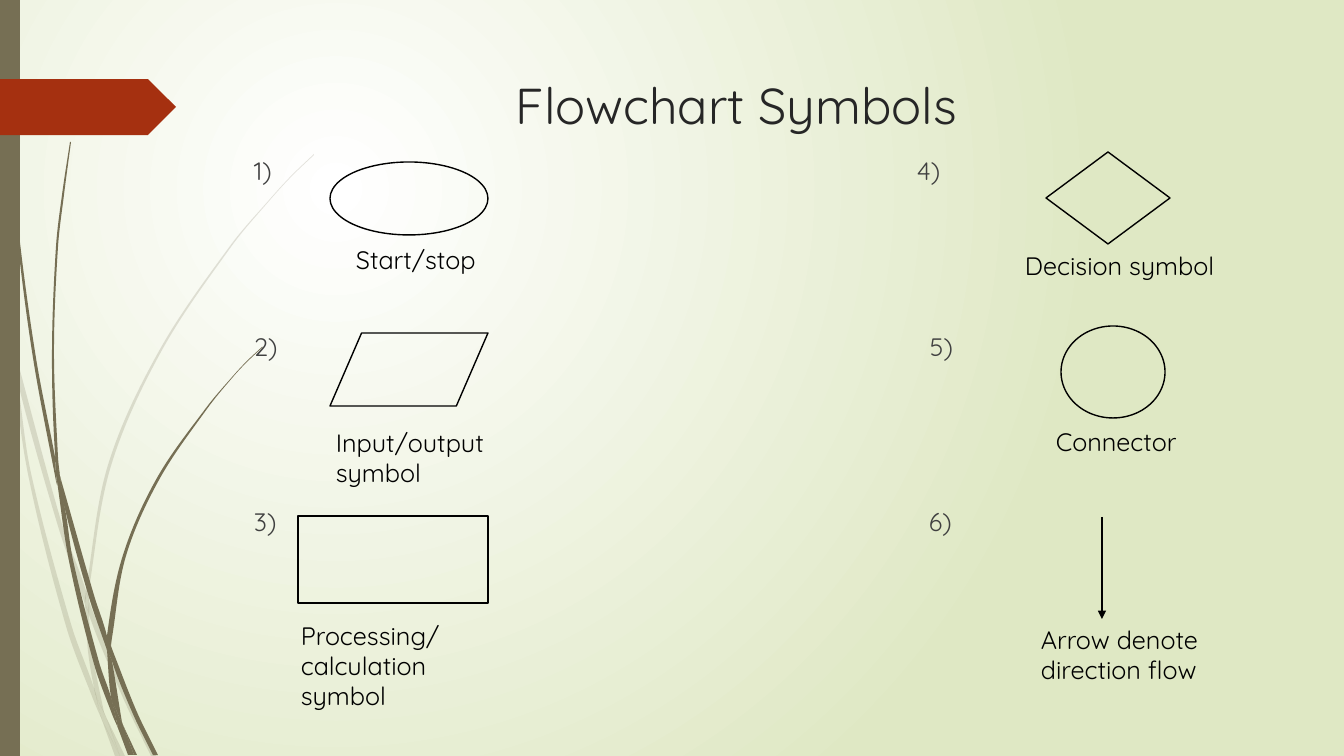
"""Build the flowchart symbols slide."""
from dataclasses import dataclass
from typing import Optional

from lxml.etree import SubElement
from pptx import Presentation
from pptx.dml.color import RGBColor
from pptx.enum.shapes import MSO_CONNECTOR, MSO_SHAPE
from pptx.enum.text import MSO_AUTO_SIZE
from pptx.oxml.ns import qn
from pptx.shapes.autoshape import Shape
from pptx.slide import Slide
from pptx.text.text import TextFrame
from pptx.util import Emu, Pt

EMU_PER_PX = 914400 / 100.8
PAGE_WIDTH, PAGE_HEIGHT = 1344, 756
TITLE_INDENT = 220
ROW_GAP_POINTS = 104

Points = tuple[tuple[int, int], ...]


@dataclass(frozen=True)
class Theme:
    font: str = "Quicksand"
    title_size: int = 36
    body_size: int = 18
    title: str = "262626"
    number: str = "404040"
    ink: str = "000000"
    stem: str = "766F54"
    ribbon: str = "A53010"
    glow: str = "FFFFFF"
    backdrop: str = "DFE8C4"
    pale_percent: int = 20
    line_width: int = 1


@dataclass(frozen=True)
class Box:
    left: int
    top: int
    width: int
    height: int


@dataclass(frozen=True)
class Symbol:
    outline: Optional[MSO_SHAPE]
    frame: Box
    caption: str
    caption_box: Box


@dataclass(frozen=True)
class NumberRow:
    text: str
    tab: int


THEME = Theme()

PALE_BLADES: tuple[Points, ...] = (
    ((11, 353), (9, 325), (0, 284), (0, 301), (10, 347)),
    ((58, 526), (85, 604), (86, 591), (62, 524), (14, 348), (17, 379)),
    ((93, 612), (89, 601), (89, 615), (124, 700), (151, 756), (156, 756), (128, 698)),
    ((120, 756), (125, 756), (106, 717)),
    ((94, 688), (71, 624), (31, 473), (17, 379), (11, 353), (28, 474), (66, 626),
     (93, 699), (102, 720), (100, 713)),
    ((85, 604), (88, 651), (94, 688), (97, 698), (106, 717), (104, 712), (92, 651),
     (89, 615), (89, 613)),
    ((89, 589), (111, 466), (161, 352), (231, 247), (270, 200), (292, 176), (314, 155),
     (314, 154), (291, 176), (270, 199), (230, 246), (159, 351), (108, 465), (86, 589),
     (86, 591), (89, 601)),
    ((102, 720), (115, 756), (120, 756)),
    ((89, 613), (89, 615), (89, 601), (86, 591), (85, 604)),
    ((97, 698), (94, 688), (100, 713), (102, 720), (120, 756), (106, 717)),
)

DARK_BLADES: tuple[Points, ...] = (
    ((7, 111), (17, 235), (33, 358), (56, 481), (57, 485), (55, 461), (55, 457),
     (36, 358), (19, 234), (8, 110), (5, 48), (4, 0), (3, 0), (4, 48)),
    ((89, 597), (107, 650), (107, 636), (94, 595), (60, 476), (65, 509)),
    ((114, 654), (111, 646), (112, 661), (133, 714), (153, 755), (158, 755), (137, 712)),
    ((111, 697), (99, 662), (73, 560), (65, 509), (57, 481), (69, 561), (94, 664),
     (112, 714), (118, 728), (117, 723)),
    ((60, 476), (58, 457), (54, 352), (58, 247), (64, 195), (71, 142), (70, 142),
     (62, 195), (56, 247), (52, 352), (55, 453)),
    ((134, 755), (137, 755), (123, 725)),
    ((57, 481), (65, 509), (60, 476), (55, 453), (55, 457)),
    ((112, 638), (126, 556), (159, 480), (207, 409), (233, 377), (247, 362), (263, 347),
     (262, 347), (247, 361), (233, 376), (206, 408), (157, 478), (123, 555), (107, 636),
     (111, 646)),
    ((118, 728), (128, 755), (132, 755)),
    ((107, 650), (111, 697), (117, 712), (123, 725), (122, 722), (112, 661), (110, 656)),
    ((107, 650), (110, 656), (112, 661), (111, 646), (107, 636)),
    ((117, 712), (111, 697), (117, 723), (118, 728), (131, 755), (134, 755), (123, 725)),
)

NUMBER_ROWS = (NumberRow("1)\t4)", 663), NumberRow("2)\t5)", 676), NumberRow("3)\t6)", 675))

SYMBOLS = (
    Symbol(MSO_SHAPE.OVAL, Box(330, 162, 158, 73),
           "Start/stop", Box(346, 239, 214, 40)),
    Symbol(MSO_SHAPE.FLOWCHART_DATA, Box(330, 333, 158, 73),
           "Input/output symbol", Box(326, 422, 214, 71)),
    Symbol(MSO_SHAPE.RECTANGLE, Box(298, 516, 190, 87),
           "Processing/calculation symbol", Box(291, 615, 214, 71)),
    Symbol(MSO_SHAPE.FLOWCHART_DECISION, Box(1046, 152, 124, 92),
           "Decision symbol", Box(1015, 245, 244, 40)),
    Symbol(MSO_SHAPE.FLOWCHART_CONNECTOR, Box(1061, 326, 104, 92),
           "Connector", Box(1046, 421, 214, 40)),
    Symbol(None, Box(1102, 517, 0, 102),
           "Arrow denote direction flow", Box(1031, 619, 214, 71)),
)


def px(value: int) -> Emu:
    """Turn px into EMU."""
    return Emu(round(value * EMU_PER_PX))


def place(box: Box) -> tuple[Emu, Emu, Emu, Emu]:
    """Give a box as EMU arguments."""
    return px(box.left), px(box.top), px(box.width), px(box.height)


def rgb(colour: str) -> RGBColor:
    """Read a hex colour."""
    return RGBColor.from_string(colour)


def paint(shape: Shape, colour: str) -> None:
    """Give a shape a plain fill without line or shadow."""
    shape.shadow.inherit = False
    shape.fill.solid()
    shape.fill.fore_color.rgb = rgb(colour)
    shape.line.fill.background()


def paint_background(page: Slide) -> None:
    """Fill the page with a round glow in its upper left part."""
    fill = page.background.fill
    fill.gradient()
    for stop, colour in zip(fill.gradient_stops, (THEME.glow, THEME.backdrop)):
        stop.color.rgb = rgb(colour)
    gradient = page.element.find(".//" + qn("a:gradFill"))
    gradient.remove(gradient.find(qn("a:lin")))
    circle = SubElement(gradient, qn("a:path"), path="circle")
    SubElement(circle, qn("a:fillToRect"), l="50000", t="50000", r="100000", b="100000")


def tangent(before: complex, here: complex, after: complex, chord: complex) -> complex:
    """Give the direction at a knot, which is the chord at a sharp corner."""
    arriving, leaving = here - before, after - here
    bend = (arriving * leaving.conjugate()).real
    smooth = bend > 0.8 * abs(arriving) * abs(leaving)
    direction = after - before if smooth else chord
    return direction / abs(direction)


def round_edges(shape: Shape) -> None:
    """Turn the straight edges of a closed freeform into curves."""
    spots = shape.element.spPr.findall(".//" + qn("a:pt"))
    knots = [complex(int(spot.get("x")), int(spot.get("y"))) for spot in spots][:-1]
    count = len(knots)
    for i, spot in enumerate(spots[1:]):
        before, start, end, after = (knots[(i + k) % count] for k in (-1, 0, 1, 2))
        chord = end - start
        reach = abs(chord) / 3
        first = start + reach * tangent(before, start, end, chord)
        second = end - reach * tangent(start, end, after, chord)
        edge = spot.getparent()
        curve = edge.makeelement(qn("a:cubicBezTo"))
        for point in (first, second, end):
            SubElement(curve, qn("a:pt"), x=str(round(point.real)), y=str(round(point.imag)))
        edge.getparent().replace(edge, curve)


def draw_blade(page: Slide, points: Points, pale: bool) -> None:
    """Draw one piece of a blade of grass."""
    start, *rest = [(px(x), px(y)) for x, y in points]
    builder = page.shapes.build_freeform(*start)
    builder.add_line_segments([*rest, start], close=True)
    shape = builder.convert_to_shape()
    round_edges(shape)
    paint(shape, THEME.stem)
    if pale:
        colour = shape.element.spPr.find(".//" + qn("a:srgbClr"))
        SubElement(colour, qn("a:alpha"), val=str(THEME.pale_percent * 1000))


def add_text(page: Slide, box: Box, text: str, size: int, colour: str) -> TextFrame:
    """Add a wrapped text box with one paragraph a line."""
    frame = page.shapes.add_textbox(*place(box)).text_frame
    frame.word_wrap = True
    frame.text = text
    for para in frame.paragraphs:
        para.font.name = THEME.font
        para.font.size = Pt(size)
        para.font.color.rgb = rgb(colour)
    return frame


def add_numbers(page: Slide) -> None:
    """Add the numbers of both columns, the right one at tab stops."""
    text = "\n".join(row.text for row in NUMBER_ROWS)
    frame = add_text(page, Box(244, 150, 1024, 575), text, THEME.body_size, THEME.number)
    for i, (para, row) in enumerate(zip(frame.paragraphs, NUMBER_ROWS)):
        para.space_before = Pt(ROW_GAP_POINTS if i else 0)
        tabs = para._p.get_or_add_pPr().makeelement(qn("a:tabLst"))
        SubElement(tabs, qn("a:tab"), pos=str(px(row.tab)), algn="l")
        para._p.pPr.find(qn("a:defRPr")).addprevious(tabs)


def draw_symbol(page: Slide, symbol: Symbol) -> None:
    """Draw a symbol, or the arrow, with its caption."""
    left, top, width, height = place(symbol.frame)
    if symbol.outline is None:
        shape = page.shapes.add_connector(
            MSO_CONNECTOR.STRAIGHT, left, top, left + width, top + height)
        SubElement(shape.line._get_or_add_ln(), qn("a:tailEnd"), type="triangle")
        SubElement(shape.element.spPr, qn("a:effectLst"))
    else:
        shape = page.shapes.add_shape(symbol.outline, left, top, width, height)
        shape.shadow.inherit = False
        shape.fill.background()
    shape.line.color.rgb = rgb(THEME.ink)
    shape.line.width = Pt(THEME.line_width)
    caption = add_text(page, symbol.caption_box, symbol.caption, THEME.body_size, THEME.ink)
    caption.auto_size = MSO_AUTO_SIZE.SHAPE_TO_FIT_TEXT


def main() -> None:
    """Build and save the deck."""
    deck = Presentation()
    deck.slide_width, deck.slide_height = px(PAGE_WIDTH), px(PAGE_HEIGHT)
    page = deck.slides.add_slide(deck.slide_layouts[6])
    paint_background(page)
    for blades, pale in ((PALE_BLADES, True), (DARK_BLADES, False)):
        for points in blades:
            draw_blade(page, points, pale)
    for outline, box, colour in (
        (MSO_SHAPE.RECTANGLE, Box(0, 0, 20, PAGE_HEIGHT), THEME.stem),
        (MSO_SHAPE.PENTAGON, Box(0, 79, 176, 56), THEME.ribbon),
    ):
        paint(page.shapes.add_shape(outline, *place(box)), colour)
    title = add_text(page, Box(286, 69, 983, 92), "Flowchart Symbols",
                     THEME.title_size, THEME.title)
    title.paragraphs[0]._p.get_or_add_pPr().set("marL", str(px(TITLE_INDENT)))
    add_numbers(page)
    for symbol in SYMBOLS:
        draw_symbol(page, symbol)
    deck.save("out.pptx")


if __name__ == "__main__":
    main()
